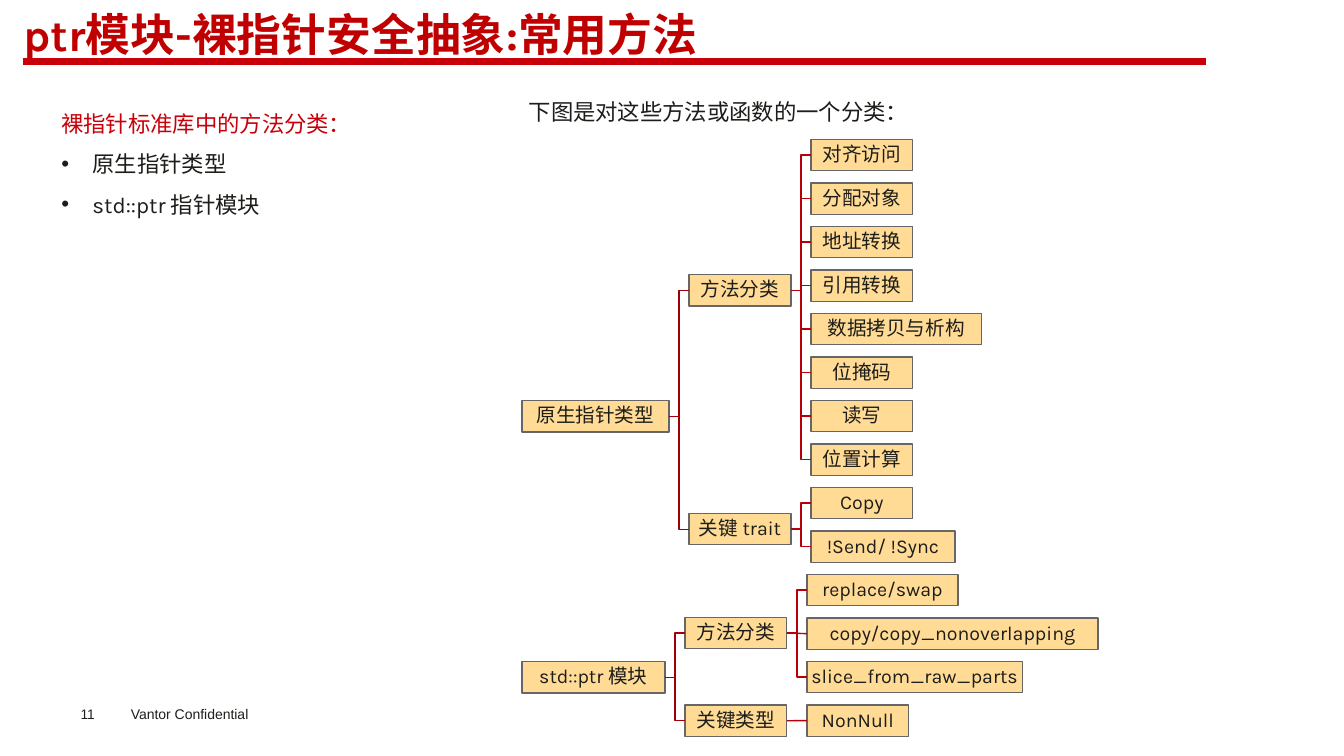
import pptx
import pptx.util
import pptx.dml.color
import pptx.enum.shapes
import pptx.enum.text
from lxml import etree
from pptx.util import Inches, Pt

TITLE = "ptr模块-裸指针安全抽象:常用方法"
CAPTION = "下图是对这些方法或函数的一个分类："
INTRO = "裸指针标准库中的方法分类："
BULLETS = ["原生指针类型", "std::ptr 指针模块"]
FOOTER, PAGE = "Vantor Confidential", "11"

# Trees: (root, width, centre y, branches); branch: (name, centre y, leaves); leaf: (name, width)
W = 1.01
TREES = [
    ("原生指针类型", 1.46, 4.13, [
        ("方法分类", 2.88, [
            ("对齐访问", W), ("分配对象", W), ("地址转换", W), ("引用转换", W),
            ("数据拷贝与析构", 1.69), ("位掩码", W), ("读写", W), ("位置计算", W)]),
        ("关键 trait", 5.25, [("Copy", W), ("!Send/ !Sync", 1.43)]),
    ]),
    ("std::ptr 模块", 1.42, 6.72, [
        ("方法分类", 6.28, [
            ("replace/swap", 1.5), ("copy/copy_nonoverlapping", 2.89),
            ("slice_from_raw_parts", 2.14)]),
        ("关键类型", 7.15, [("NonNull", W)]),
    ]),
]
TREE_X, GAP, BOX_H = 5.18, 0.2, 0.31
LEAF_Y, LEAF_STEP = 1.54, 0.4315

INK, RED, DARK_RED = "1D1D1A", "C7000A", "C00000"
BOX_FILL, BOX_LINE = "FFDB95", "666666"
ROOT_LINK, LEAF_LINK = "9F0008", "B50009"
A = "http://schemas.openxmlformats.org/drawingml/2006/main"
RIGHT_SIDE, LEFT_SIDE = 3, 1

prs = pptx.Presentation()
prs.slide_width, prs.slide_height = Inches(13.34), Inches(7.5)
s = prs.slides.add_slide(prs.slide_layouts[6])


def rgb(value):
    return pptx.dml.color.RGBColor.from_string(value)


def write(p, text, size=16, color=INK, font="Karla", bold=False, spacing=None,
          align=None, bullet=False):
    if bullet:
        pPr = p._p.get_or_add_pPr()
        pPr.set("marL", str(Inches(0.31)))
        pPr.set("indent", str(-Inches(0.31)))
        etree.SubElement(pPr, f"{{{A}}}buFont", typeface="Arial")
        etree.SubElement(pPr, f"{{{A}}}buChar", char="•")
    p.line_spacing, p.alignment = spacing, align
    r = p.add_run()
    r.text = text
    r.font.size, r.font.name, r.font.bold = Pt(size), font, bold
    r.font.color.rgb = rgb(color)


def set_margins(tf, margin):
    tf.margin_left = tf.margin_right = tf.margin_top = tf.margin_bottom = Inches(margin)


def text_box(x, y, w, h, text, wrap=True, margin=None, **fmt):
    tf = s.shapes.add_textbox(Inches(x), Inches(y), Inches(w), Inches(h)).text_frame
    tf.word_wrap = wrap
    if margin is not None:
        set_margins(tf, margin)
    write(tf.paragraphs[0], text, **fmt)
    return tf


def node(x, center_y, w, text):
    sp = s.shapes.add_shape(pptx.enum.shapes.MSO_SHAPE.RECTANGLE, Inches(x),
                            Inches(center_y - BOX_H / 2), Inches(w), Inches(BOX_H))
    sp.shadow.inherit = False
    sp.fill.solid()
    sp.fill.fore_color.rgb = rgb(BOX_FILL)
    sp.line.color.rgb, sp.line.width = rgb(BOX_LINE), Pt(1)
    tf = sp.text_frame
    set_margins(tf, 0.01)
    tf.vertical_anchor = pptx.enum.text.MSO_ANCHOR.MIDDLE
    write(tf.paragraphs[0], text, size=14, spacing=0.9,
          align=pptx.enum.text.PP_ALIGN.CENTER)
    return sp


def line(x1, y1, x2, y2, color, width, kind="STRAIGHT"):
    """Connector between two points given in EMU."""
    c = s.shapes.add_connector(pptx.enum.shapes.MSO_CONNECTOR[kind], x1, y1, x2, y2)
    c.line.color.rgb, c.line.width = rgb(color), Pt(width)
    etree.SubElement(c._element.spPr, f"{{{A}}}effectLst")
    return c


def link(parent, child, color):
    y1, y2 = (sp.top + sp.height // 2 for sp in (parent, child))
    kind = "STRAIGHT" if abs(y1 - y2) < Inches(0.02) else "ELBOW"
    c = line(parent.left + parent.width, y1, child.left, y2, color, 1, kind)
    c.begin_connect(parent, RIGHT_SIDE)
    c.end_connect(child, LEFT_SIDE)


text_box(1.2, 6.95, 1.6, 0.27, FOOTER, size=10, font="Arial")
text_box(0.8, 7, 0.55, 0.16, PAGE, margin=0, size=9.8, font="Arial")
text_box(0.23, 0.12, 11.75, 0.67, TITLE, margin=0, size=32, color=DARK_RED, bold=True,
         spacing=Pt(34.3))
line(Inches(0.23), Inches(0.61), Inches(11.97), Inches(0.61), RED, 4.5)

tf = text_box(0.51, 0.91, 5.29, 1.31, INTRO, color=RED, spacing=1.5)
for item in BULLETS:
    write(tf.add_paragraph(), item, spacing=1.5, bullet=True)
text_box(5.15, 0.79, 4.02, 0.46, CAPTION, wrap=False, spacing=1.5)

leaf_y = LEAF_Y
for root_name, root_w, root_y, branches in TREES:
    root = node(TREE_X, root_y, root_w, root_name)
    branch_x = TREE_X + root_w + GAP
    for branch_name, branch_y, leaves in branches:
        branch = node(branch_x, branch_y, W, branch_name)
        link(root, branch, ROOT_LINK)
        for leaf_name, leaf_w in leaves:
            leaf = node(branch_x + W + GAP, leaf_y, leaf_w, leaf_name)
            link(branch, leaf, LEAF_LINK)
            leaf_y += LEAF_STEP

prs.save("out.pptx")
